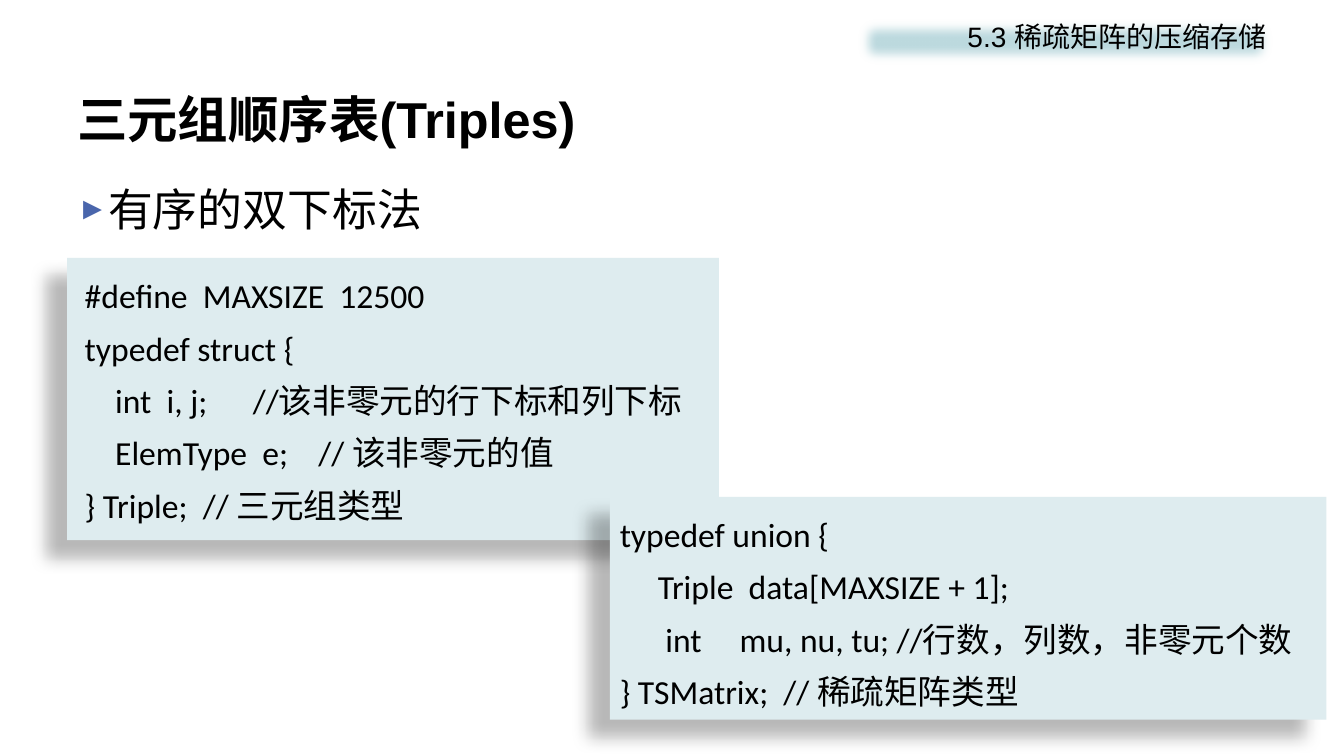
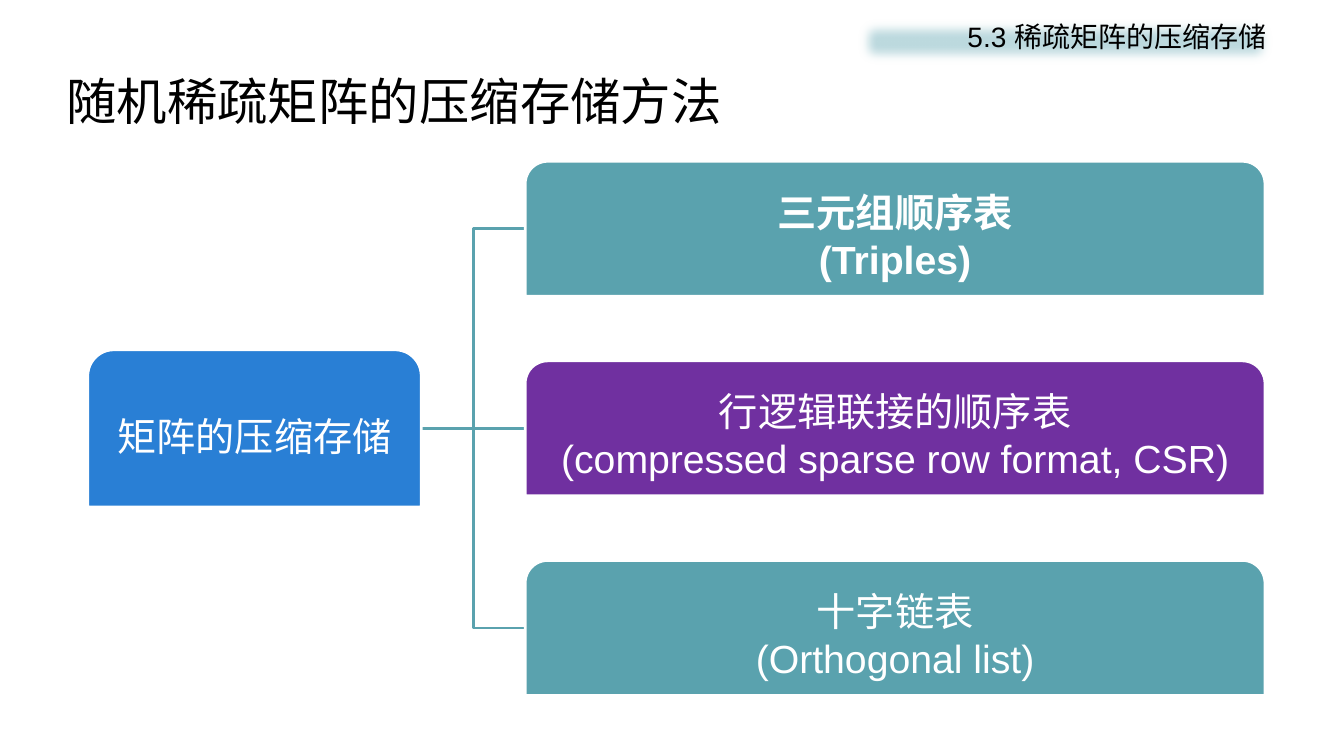
from lxml.etree import SubElement
from pptx import Presentation
from pptx.dml.color import RGBColor
from pptx.enum.shapes import MSO_CONNECTOR, MSO_SHAPE
from pptx.enum.text import MSO_ANCHOR, PP_ALIGN
from pptx.oxml.ns import qn
from pptx.util import Emu, Inches, Pt

WIDTH, HEIGHT = Inches(13.33), Inches(7.5)
COLUMNS, ROWS = 40, 30
LATIN, CHINESE, CODE = "Arial", "Noto Sans CJK SC", "Calibri"
BLACK, WHITE = "000000", "FFFFFF"
BAND, PANEL, BULLET = "BDDADF", "DEECEF", "4A66AC"
TEAL, BLUE, PURPLE = "5AA2AE", "297FD5", "7030A0"
SECTION = "5.3 稀疏矩阵的压缩存储"

TRIPLE_CODE = """ #define  MAXSIZE  12500
 typedef struct {
     int  i, j;      //该非零元的行下标和列下标
     ElemType  e;    // 该非零元的值
 } Triple;  // 三元组类型"""
MATRIX_CODE = """typedef union {
     Triple  data[MAXSIZE + 1];
      int     mu, nu, tu; //行数，列数，非零元个数
} TSMatrix;  // 稀疏矩阵类型"""

METHODS = [
    ("三元组顺序表\n(Triples)", TEAL, True),
    ("行逻辑联接的顺序表\n(compressed sparse row format, CSR)", PURPLE, False),
    ("十字链表\n(Orthogonal list)", TEAL, False),
]


def color(hex_string):
    """Turn a hex string into a colour."""
    return RGBColor.from_string(hex_string)


def place(column, row, columns, rows):
    """Turn grid columns and rows into left, top, width and height."""
    return (Emu(int(column * WIDTH / COLUMNS)), Emu(int(row * HEIGHT / ROWS)),
            Emu(int(columns * WIDTH / COLUMNS)), Emu(int(rows * HEIGHT / ROWS)))


def write(frame, text, size, font=LATIN, ink=BLACK, bold=False,
          align=PP_ALIGN.LEFT, anchor=MSO_ANCHOR.TOP, spacing=None):
    """Fill a text frame and format every paragraph alike."""
    frame.word_wrap = True
    frame.vertical_anchor = anchor
    frame.text = text
    for paragraph in frame.paragraphs:
        paragraph.alignment = align
        paragraph.line_spacing = spacing
        for run in paragraph.runs:
            run.font.name = font
            run.font.size = Pt(size)
            run.font.bold = bold
            run.font.color.rgb = color(ink)
            SubElement(run.font._element, qn("a:ea"), typeface=CHINESE)


def add_block(slide, grid, fill, preset=MSO_SHAPE.RECTANGLE):
    """Add a filled shape without outline or shadow."""
    block = slide.shapes.add_shape(preset, *place(*grid))
    block.fill.solid()
    block.fill.fore_color.rgb = color(fill)
    block.line.fill.background()
    block.shadow.inherit = False
    return block


def add_effect(block, effect, **settings):
    """Add an effect to a shape and return its element."""
    effects = block._element.spPr.find(qn("a:effectLst"))
    return SubElement(effects, qn(effect), **settings)


def add_title(slide, text, column, row, bold=False):
    """Add the slide title."""
    title = slide.shapes.add_textbox(*place(column, row, 36, 3))
    write(title.text_frame, text, 36, bold=bold, anchor=MSO_ANCHOR.MIDDLE)


def add_section(slide):
    """Add the soft band naming the section."""
    band = add_block(slide, (25.4, 0.56, 12.6, 2.16), BAND)
    add_effect(band, "a:softEdge", rad="112500")
    write(band.text_frame, SECTION, 20, align=PP_ALIGN.RIGHT)


def add_point(slide, text, grid):
    """Add a bulleted statement."""
    point = slide.shapes.add_textbox(*place(*grid))
    write(point.text_frame, text, 32, font=CHINESE)
    properties = point.text_frame.paragraphs[0]._p.get_or_add_pPr()
    indent = Inches(0.28)
    properties.set("marL", str(indent))
    properties.set("indent", str(-indent))
    tint = SubElement(properties, qn("a:buClr"))
    SubElement(tint, qn("a:srgbClr"), val=BULLET)
    SubElement(properties, qn("a:buSzPct"), val="70000")
    SubElement(properties, qn("a:buFont"), typeface=LATIN)
    SubElement(properties, qn("a:buChar"), char="►")


def add_code(slide, code, grid):
    """Add a code panel with a shadow to the lower left."""
    panel = add_block(slide, grid, PANEL)
    shadow = add_effect(panel, "a:outerShdw", blurRad="150000", dist="250000",
                        dir="8460000", algn="ctr", rotWithShape="0")
    shade = SubElement(shadow, qn("a:srgbClr"), val=BLACK)
    SubElement(shade, qn("a:alpha"), val="28000")
    write(panel.text_frame, code, 24, font=CODE, spacing=1.3)


def add_node(slide, text, grid, fill, inset, bold=False):
    """Add a tree node with rounded top corners."""
    node = add_block(slide, grid, fill, MSO_SHAPE.ROUND_2_SAME_RECTANGLE)
    node.line.color.rgb = color(WHITE)
    node.line.width = Pt(2)
    frame = node.text_frame
    frame.margin_left = frame.margin_right = frame.margin_top = Inches(inset)
    frame.margin_bottom = Inches(0.02)
    write(frame, text, 28, ink=WHITE, bold=bold, align=PP_ALIGN.CENTER,
          anchor=MSO_ANCHOR.MIDDLE)


def add_branch(slide, start, end):
    """Join two grid points, with an elbow when their rows differ."""
    kind = MSO_CONNECTOR.STRAIGHT if start[1] == end[1] else MSO_CONNECTOR.ELBOW
    x1, y1, x2, y2 = place(*start, *end)
    branch = slide.shapes.add_connector(kind, x1, y1, x2, y2)
    branch.line.color.rgb = color(TEAL)
    branch.line.width = Pt(2)
    SubElement(branch._element.spPr, qn("a:effectLst"))


def add_tree(slide, root, methods):
    """Add the root and its methods, centred on the middle method."""
    root_left, root_width, root_height = 2.61, 9.93, 6.24
    left, top, width, height, pitch = 15.63, 6.4, 22.02, 5.36, 7.92
    tops = [top + pitch * index for index in range(len(methods))]
    centers = [row + height / 2 for row in tops]
    middle = centers[len(centers) // 2]
    for center in centers:
        add_branch(slide, (root_left + root_width, middle), (left, center))
    add_node(slide, root, (root_left, middle - root_height / 2,
                           root_width, root_height), BLUE, 0.1)
    for row, (text, fill, bold) in zip(tops, methods):
        add_node(slide, text, (left, row, width, height), fill, 0.08, bold)


def main():
    """Build and save the slides."""
    deck = Presentation()
    deck.slide_width, deck.slide_height = WIDTH, HEIGHT
    blank = deck.slide_layouts[6]

    triples = deck.slides.add_slide(blank)
    add_title(triples, "三元组顺序表(Triples)", 2, 3.2, bold=True)
    add_point(triples, "有序的双下标法", (2, 7, 36, 3.8))
    add_section(triples)
    add_code(triples, TRIPLE_CODE, (2, 10.24, 19.4, 11.2))
    add_code(triples, MATRIX_CODE, (18.15, 19.72, 21.33, 8.84))

    overview = deck.slides.add_slide(blank)
    add_title(overview, "随机稀疏矩阵的压缩存储方法", 1.68, 2.48)
    add_section(overview)
    add_tree(overview, "矩阵的压缩存储", METHODS)

    deck.save("out.pptx")


if __name__ == "__main__":
    main()
